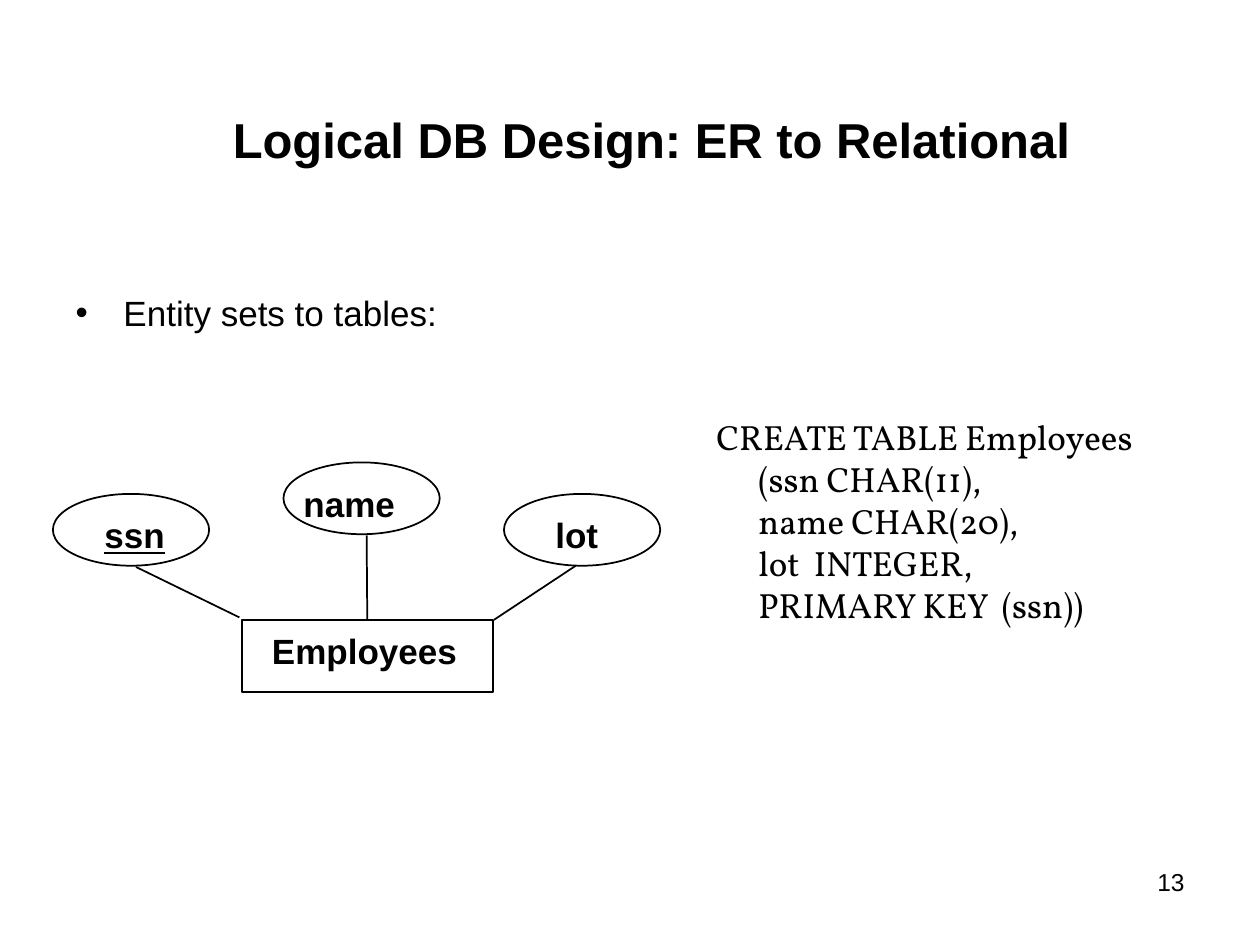
from pptx import Presentation
from pptx.dml.color import RGBColor
from pptx.enum.shapes import MSO_CONNECTOR, MSO_SHAPE
from pptx.enum.text import MSO_ANCHOR, MSO_AUTO_SIZE, PP_ALIGN
from pptx.oxml.ns import qn
from pptx.util import Inches, Pt
from lxml.etree import SubElement

BLACK = "000000"


def color(target, value):
    """Apply a hex colour to a font colour or line colour."""
    target.rgb = RGBColor.from_string(value)


def place(shape, box):
    """Move a shape to a box given in inches."""
    shape.left, shape.top, shape.width, shape.height = map(Inches, box)


def write(para, text, size, name="Arial", bold=False, underline=False):
    """Add one formatted run to a paragraph."""
    span = para.add_run()
    span.text = text
    font = span.font
    font.name, font.size, font.bold, font.underline = name, Pt(size), bold, underline
    color(font.color, BLACK)


def add_title(page, box, text):
    """Fill the title placeholder."""
    title = page.shapes.title
    place(title, box)
    title.text_frame.vertical_anchor = MSO_ANCHOR.MIDDLE
    para = title.text_frame.paragraphs[0]
    para.alignment = PP_ALIGN.CENTER
    write(para, text, 28, bold=True)


def add_body(page, box, text):
    """Fill the body placeholder with one bullet."""
    body = page.placeholders[1]
    place(body, box)
    para = body.text_frame.paragraphs[0]
    properties = para._p.get_or_add_pPr()
    properties.set("marL", str(Inches(0.38)))
    properties.set("indent", str(Inches(-0.38)))
    SubElement(properties, qn("a:buFont")).set("typeface", "Arial")
    SubElement(properties, qn("a:buChar")).set("char", "•")
    para.space_before = Pt(0)
    write(para, text, 20)


def add_code(page, box, lines):
    """Add a listing with one paragraph per line."""
    frame = page.shapes.add_textbox(*map(Inches, box)).text_frame
    frame.word_wrap = True
    for index, line in enumerate(lines):
        para = frame.add_paragraph() if index else frame.paragraphs[0]
        write(para, line, 20, "Vollkorn")


def add_node(group, kind, box, label, label_box, underline=False):
    """Add an outlined shape with its label and return the shape."""
    node = group.shapes.add_shape(kind, *map(Inches, box))
    node.shadow.inherit = False
    node.fill.background()
    color(node.line.color, BLACK)
    node.line.width = Pt(1)
    frame = group.shapes.add_textbox(*map(Inches, label_box)).text_frame
    frame.word_wrap = False
    frame.auto_size = MSO_AUTO_SIZE.SHAPE_TO_FIT_TEXT
    write(frame.paragraphs[0], label, 20, bold=True, underline=underline)
    return node


def add_link(group, start, end):
    """Add a straight line between two points and return it."""
    link = group.shapes.add_connector(
        MSO_CONNECTOR.STRAIGHT, *map(Inches, (*start, *end)))
    color(link.line.color, BLACK)
    link.line.width = Pt(1)
    SubElement(link._element.spPr, qn("a:effectLst"))
    return link


def add_diagram(page, box):
    """Draw the Employees entity and its attributes inside a box."""
    left, top, width, height = box
    group = page.shapes.add_group_shape()
    oval_width, node_height, label_height = 1.24, 0.57, 0.43
    entity = add_node(
        group, MSO_SHAPE.RECTANGLE,
        (left + 1.5, top + height - node_height, 1.99, node_height),
        "Employees", (left + 1.64, top + 1.28, 1.67, label_height))
    attributes = [
        ("ssn", 0, 0.25, 0.31, 0.68, True),
        ("name", 1.83, 0, 0.06, 0.93, False),
        ("lot", width - oval_width, 0.25, 0.31, 0.54, False),
    ]
    for label, x, y, inset, label_width, is_key in attributes:
        add_node(group, MSO_SHAPE.OVAL,
                 (left + x, top + y, oval_width, node_height), label,
                 (left + x + inset, top + y + 0.11, label_width, label_height),
                 is_key)
    add_link(group, (left + 0.66, top + 0.83), (left + 1.48, top + 1.23))
    name_link = add_link(group, (left + 2.49, top + 0.58), (left + 2.49, top + 1.25))
    name_link.end_connect(entity, 0)
    add_link(group, (left + 3.5, top + 1.25), (left + 4.15, top + 0.82))


def add_page_number(page, box, text):
    """Add the right-aligned page number."""
    frame = page.shapes.add_textbox(*map(Inches, box)).text_frame
    frame.word_wrap = True
    para = frame.paragraphs[0]
    para.alignment = PP_ALIGN.RIGHT
    write(para, text, 14)


def main():
    """Build and save the deck."""
    deck = Presentation()
    deck.slide_width, deck.slide_height = Inches(10), Inches(7.5)
    page = deck.slides.add_slide(deck.slide_layouts[1])
    add_page_number(page, (7.17, 6.83, 2.33, 0.52), "13")
    add_title(page, (1.17, 0.5, 8, 1.21), "Logical DB Design: ER to Relational")
    add_body(page, (0.5, 2.26, 4.76, 1.02), "Entity sets to tables:")
    add_code(page, (4.92, 3.25, 4.84, 1.76), [
        "            CREATE TABLE Employees",
        "                  (ssn CHAR(11),",
        "                  name CHAR(20),",
        "                  lot  INTEGER,",
        "                  PRIMARY KEY  (ssn))",
    ])
    add_diagram(page, (0.42, 3.67, 4.82, 1.82))
    deck.save("out.pptx")


if __name__ == "__main__":
    main()
